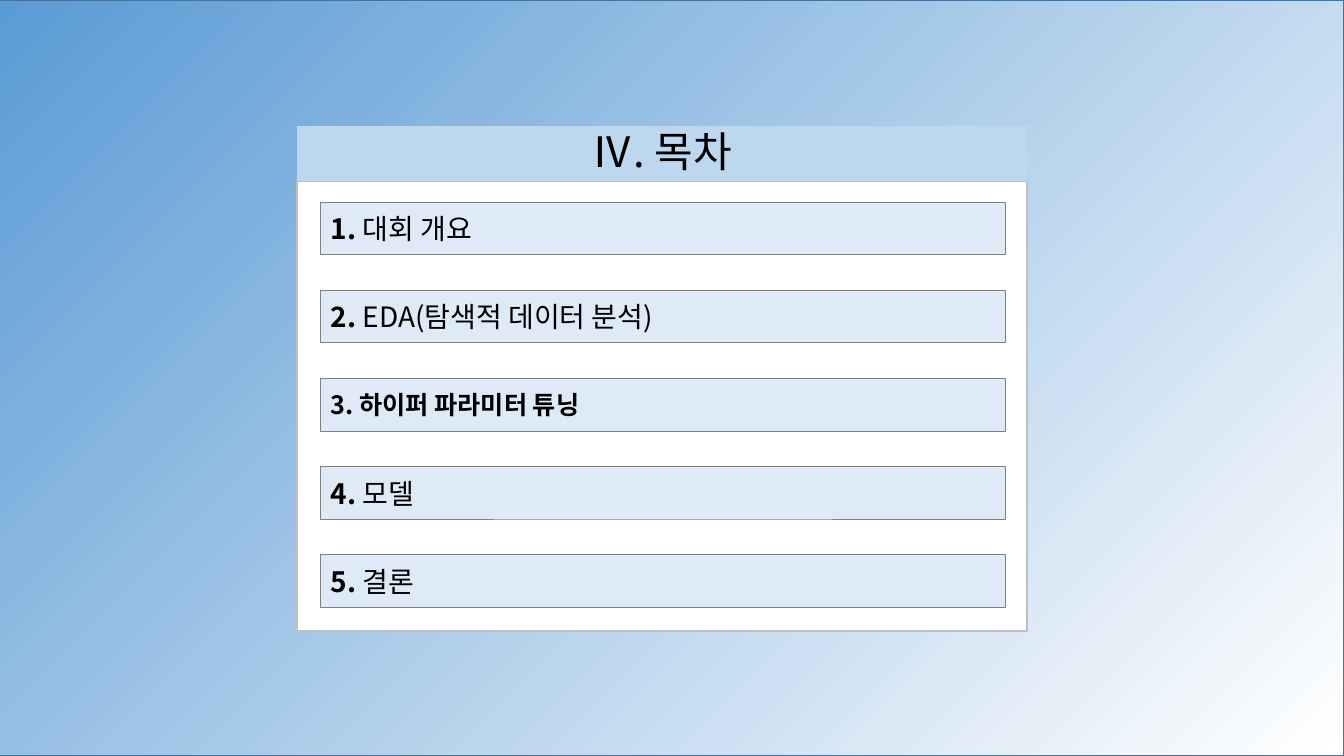
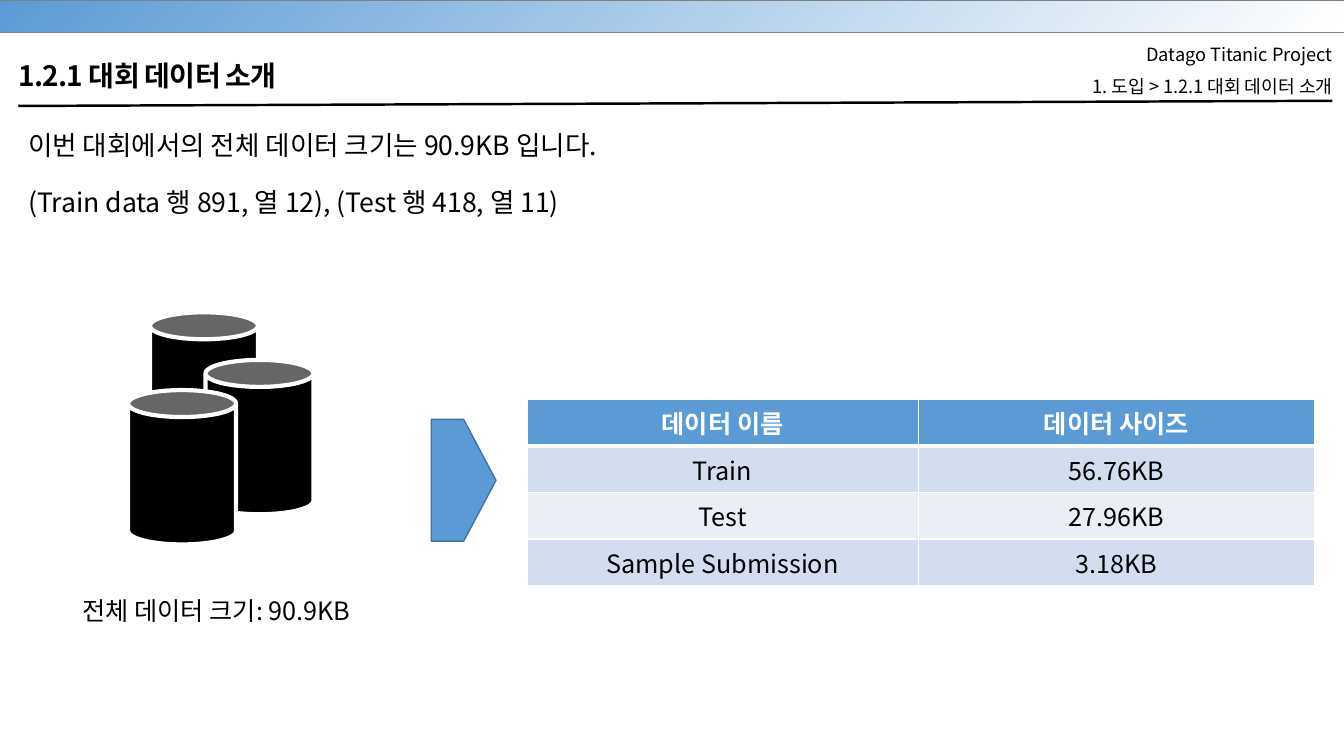
import dataclasses

import lxml.etree
import pptx
import pptx.dml.color
import pptx.enum.shapes
import pptx.enum.text
import pptx.oxml
import pptx.oxml.ns
import pptx.util

Cm = pptx.util.Cm
Pt = pptx.util.Pt
ALIGN = pptx.enum.text.PP_ALIGN
ANCHOR = pptx.enum.text.MSO_ANCHOR
SHAPE = pptx.enum.shapes.MSO_SHAPE


@dataclasses.dataclass(frozen=True)
class Theme:
    font: str = "Noto Sans CJK KR"
    # Colours
    black: str = "000000"
    white: str = "FFFFFF"
    accent: str = "5B9BD5"
    accent_edge: str = "43739E"
    heading: str = "BDD7EE"
    bar: str = "DEEBF7"
    bar_edge: str = "808080"
    panel_edge: str = "BFBFBF"
    row_colors: tuple = ("D2DEEF", "EAEFF7")
    # Type sizes
    agenda_title: int = 30
    title: int = 20
    lead: int = 19
    label: int = 18
    note: int = 13


THEME = Theme()
SLIDE_WIDTH, SLIDE_HEIGHT = 33.87, 19.05


def rgb(color):
    return pptx.dml.color.RGBColor.from_string(color)


# Text

def write_text(frame, lines, *, size, color=THEME.black, bold=False, align=ALIGN.LEFT,
               line_spacing=1.0, space_before=0, letter_spacing=None):
    """Fill a frame; a line is a string or a list of (text, bold) runs."""
    for index, line in enumerate(lines):
        paragraph = frame.paragraphs[0] if index == 0 else frame.add_paragraph()
        paragraph.alignment = align
        paragraph.line_spacing = line_spacing
        paragraph.space_before = Pt(space_before)
        for text, run_bold in [(line, bold)] if isinstance(line, str) else line:
            run = paragraph.add_run()
            run.text = text
            run.font.name = THEME.font
            run.font.size = Pt(size)
            run.font.bold = run_bold
            run.font.color.rgb = rgb(color)
            properties = run.font._element
            east_asian = lxml.etree.SubElement(properties, pptx.oxml.ns.qn("a:ea"))
            east_asian.set("typeface", THEME.font)
            if letter_spacing is not None:
                properties.set("spc", str(round(letter_spacing * 100)))


def set_frame(frame, anchor=ANCHOR.TOP, inset=None):
    frame.word_wrap = True
    frame.auto_size = pptx.enum.text.MSO_AUTO_SIZE.NONE
    frame.vertical_anchor = anchor
    sides, ends = (0.25, 0.13) if inset is None else (inset, inset)
    frame.margin_left = frame.margin_right = Cm(sides)
    frame.margin_top = frame.margin_bottom = Cm(ends)


def place(shape, left, top, width, height):
    shape.left, shape.top = Cm(left), Cm(top)
    shape.width, shape.height = Cm(width), Cm(height)


def fill_placeholder(placeholder, box, lines, *, anchor=ANCHOR.TOP, inset=None, **text_format):
    place(placeholder, *box)
    set_frame(placeholder.text_frame, anchor, inset)
    write_text(placeholder.text_frame, lines, **text_format)


def add_text(slide, box, lines, *, inset=None, **text_format):
    shape = slide.shapes.add_textbox(*map(Cm, box))
    set_frame(shape.text_frame, inset=inset)
    write_text(shape.text_frame, lines, **text_format)


def remove_bullets(placeholder):
    for paragraph in placeholder.text_frame.paragraphs:
        properties = paragraph._p.get_or_add_pPr()
        properties.set("marL", "0")
        properties.set("indent", "0")
        lxml.etree.SubElement(properties, pptx.oxml.ns.qn("a:buNone"))


# Shapes

def add_block(slide, kind, box, fill, edge, edge_width):
    shape = slide.shapes.add_shape(kind, *map(Cm, box))
    shape.shadow.inherit = False
    shape.fill.solid()
    shape.fill.fore_color.rgb = rgb(fill)
    shape.line.color.rgb = rgb(edge)
    shape.line.width = Pt(edge_width)
    return shape


def send_to_back(slide, shape):
    slide.shapes._spTree.remove(shape._element)
    slide.shapes._spTree.insert(2, shape._element)


def add_gradient_band(slide, height, edge, edge_width):
    band = add_block(slide, SHAPE.RECTANGLE, (-0.05, 0, SLIDE_WIDTH + 0.05, height),
                     THEME.accent, edge, edge_width)
    band.fill.gradient()
    band.fill.gradient_angle = 315
    for stop, color in zip(band.fill.gradient_stops, (THEME.accent, THEME.white)):
        stop.color.rgb = rgb(color)
    send_to_back(slide, band)


def add_rule(slide, start, end):
    rule = slide.shapes.add_connector(pptx.enum.shapes.MSO_CONNECTOR.STRAIGHT,
                                      *map(Cm, start + end))
    rule.line.color.rgb = rgb(THEME.black)
    rule.line.width = Pt(1.75)
    lxml.etree.SubElement(rule._element.spPr, pptx.oxml.ns.qn("a:effectLst"))


# Table

def set_cell_borders(cell, **widths):
    properties = cell._tc.get_or_add_tcPr()
    for side in "LRTB":
        properties.append(pptx.oxml.parse_xml(
            f'<a:ln{side} {pptx.oxml.ns.nsdecls("a")} w="{Pt(widths.get(side, 1))}">'
            f'<a:solidFill><a:srgbClr val="{THEME.white}"/></a:solidFill></a:ln{side}>'))


def add_data_table(slide, left, top, column_widths, row_height, rows):
    table = slide.shapes.add_table(
        len(rows), len(column_widths), Cm(left), Cm(top),
        Cm(sum(column_widths)), Cm(row_height * len(rows))).table
    table.horz_banding = False
    for column, width in zip(table.columns, column_widths):
        column.width = Cm(width)
    for row_index, values in enumerate(rows):
        table.rows[row_index].height = Cm(row_height)
        is_header = row_index == 0
        fill = THEME.accent if is_header else THEME.row_colors[(row_index - 1) % 2]
        for column_index, value in enumerate(values):
            cell = table.cell(row_index, column_index)
            set_cell_borders(cell, T=3 if row_index == 1 else 1, B=3 if is_header else 1)
            cell.fill.solid()
            cell.fill.fore_color.rgb = rgb(fill)
            write_text(cell.text_frame, [value], size=THEME.label, bold=is_header,
                       color=THEME.white if is_header else THEME.black, align=ALIGN.CENTER)


# Slides

def build_agenda(presentation):
    slide = presentation.slides.add_slide(presentation.slide_layouts[5])
    left, width = 7.49, 18.39
    title = slide.shapes.title
    fill_placeholder(title, (left, 3.18, width, 1.4), ["Ⅳ. 목차"], anchor=ANCHOR.MIDDLE,
                     size=THEME.agenda_title, align=ALIGN.CENTER, line_spacing=0.9)
    title.fill.solid()
    title.fill.fore_color.rgb = rgb(THEME.heading)
    add_gradient_band(slide, SLIDE_HEIGHT, THEME.accent_edge, 1)
    add_block(slide, SHAPE.RECTANGLE, (left, 4.57, width, 11.33),
              THEME.white, THEME.panel_edge, 1)

    # One bar for each chapter; the current one is bold
    chapters = ["대회 개요", "EDA(탐색적 데이터 분석)", "하이퍼 파라미터 튜닝", "모델", "결론"]
    current = 3
    for number, chapter in enumerate(chapters, start=1):
        bar = add_block(slide, SHAPE.RECTANGLE, (8.08, 5.1 + 2.22 * (number - 1), 17.25, 1.32),
                        THEME.bar, THEME.bar_edge, 0.5)
        set_frame(bar.text_frame, ANCHOR.MIDDLE)
        is_current = number == current
        runs = [(f"{number}. ", True), (chapter, is_current)]
        write_text(bar.text_frame, [runs], size=THEME.label if is_current else THEME.title)


def build_data_overview(presentation):
    slide = presentation.slides.add_slide(presentation.slide_layouts[1])
    margin = 0.46

    # Header
    heading = "1.2.1 대회 데이터 소개"
    add_gradient_band(slide, 0.81, THEME.bar_edge, 0.5)
    fill_placeholder(slide.shapes.title, (margin, 1.42, 19.81, 0.97), [heading],
                     anchor=ANCHOR.MIDDLE, inset=0, size=THEME.title, bold=True,
                     letter_spacing=-0.5)
    add_text(slide, (22.94, 1.07, 10.64, 1.45),
             ["Datago Titanic Project", f"1. 도입 > {heading}"], inset=0,
             size=THEME.note, align=ALIGN.RIGHT, line_spacing=1.05, space_before=6.5)
    add_rule(slide, (33.58, 2.54), (margin, 2.67))

    # Lead text
    body = slide.placeholders[1]
    fill_placeholder(body, (margin, 3.12, 32.9, 2.51),
                     ["이번 대회에서의 전체 데이터 크기는 90.9KB 입니다.",
                      "(Train data 행 891, 열 12), (Test 행 418, 열 11)"],
                     size=THEME.lead, space_before=18)
    remove_bullets(body)

    # Data stores and their files
    for left, top in [(3.78, 7.87), (5.18, 9.07), (3.23, 9.83)]:
        store = add_block(slide, SHAPE.CAN, (left, top, 2.72, 3.89),
                          THEME.black, THEME.white, 3)
        store.adjustments[0] = 0.25
    add_text(slide, (1.83, 14.86, 8.36, 1.02), ["전체 데이터 크기: 90.9KB"], size=THEME.label)
    add_block(slide, SHAPE.PENTAGON, (10.87, 10.57, 1.63, 3.07),
              THEME.accent, THEME.accent_edge, 1)
    add_data_table(slide, 13.28, 10.06, [9.86, 9.98], 1.03, [
        ["데이터 이름", "데이터 사이즈"],
        ["Train", "56.76KB"],
        ["Test", "27.96KB"],
        ["Sample Submission", "3.18KB"],
    ])


def main():
    presentation = pptx.Presentation()
    presentation.slide_width = Cm(SLIDE_WIDTH)
    presentation.slide_height = Cm(SLIDE_HEIGHT)
    build_agenda(presentation)
    build_data_overview(presentation)
    presentation.save("out.pptx")


if __name__ == "__main__":
    main()
